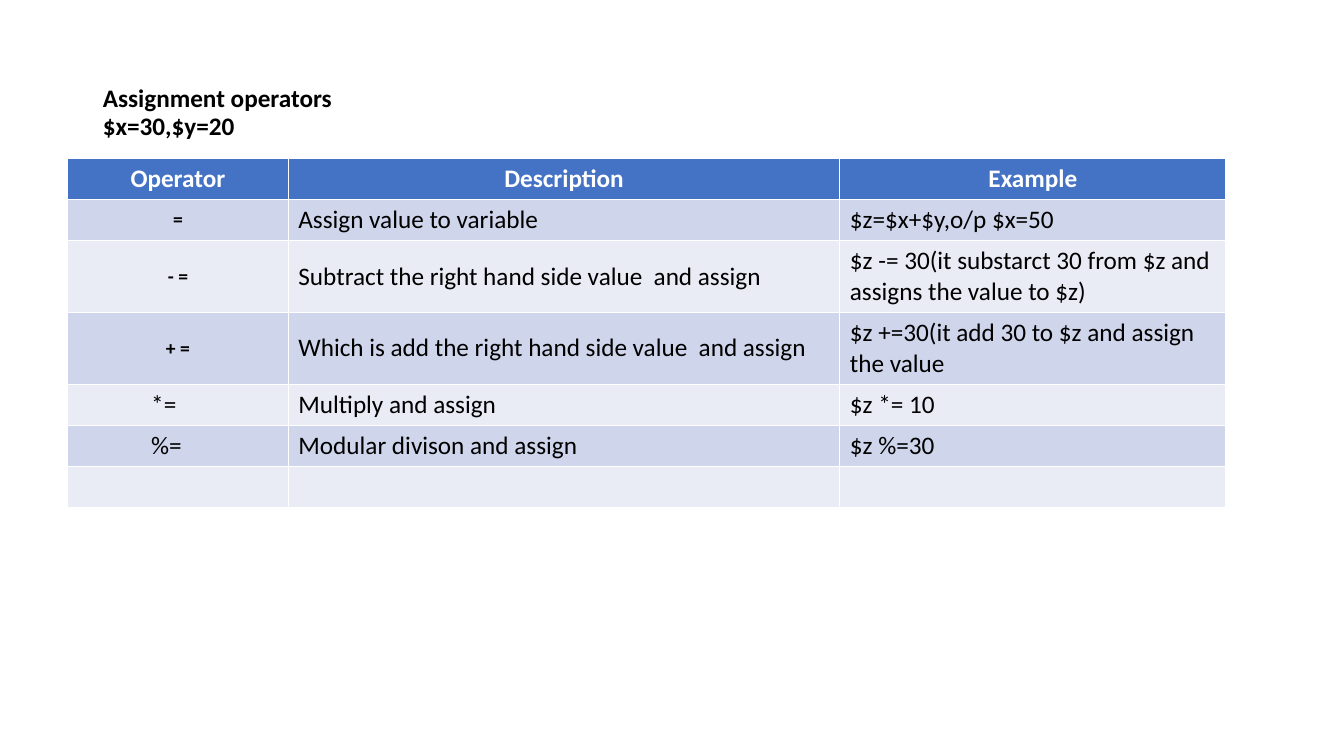
from pptx import Presentation
from pptx.dml.color import RGBColor
from pptx.enum.text import MSO_ANCHOR, MSO_AUTO_SIZE, PP_ALIGN
from pptx.util import Inches, Pt

MIDDLE, TOP = MSO_ANCHOR.MIDDLE, MSO_ANCHOR.TOP
LEFT, CENTER = PP_ALIGN.LEFT, PP_ALIGN.CENTER
NO_AUTOFIT = MSO_AUTO_SIZE.NONE

BLACK = RGBColor(0x00, 0x00, 0x00)
WHITE = RGBColor(0xFF, 0xFF, 0xFF)
HEADER_BLUE = RGBColor(0x44, 0x72, 0xC4)
BANDS = (RGBColor(0xCF, 0xD5, 0xEA), RGBColor(0xE9, 0xEB, 0xF5))

TITLE = "Assignment operators\v$x=30,$y=20"
HEADINGS = ("Operator", "Description", "Example")
OPERATORS = (
    ("=", "Assign value to variable", "$z=$x+$y,o/p $x=50"),
    ("- =", "Subtract the right hand side value  and assign",
     "$z -= 30(it substarct 30 from $z and assigns the value to $z)"),
    ("+ =", "Which is add the right hand side value  and assign",
     "$z +=30(it add 30 to $z and assign the value"),
    ("*=", "Multiply and assign", "$z *= 10"),
    ("%=", "Modular divison and assign", "$z %=30"),
    ("", "", ""),
)
CENTERED_ROWS = 3  # the first operators are small, bold and centred
COLUMN_WIDTHS = (2.19, 5.47, 3.83)
ROW_HEIGHT = 0.41
OPERATOR_INDENT = 0.83


class SlideBuilder:
    font_name = "Calibri"
    size = 18

    def __init__(self, slide):
        self.slide = slide

    def style(self, paragraph, color=BLACK, bold=False, size=size, align=LEFT):
        paragraph.alignment = align
        font = paragraph.font
        font.name, font.size, font.bold = self.font_name, Pt(size), bold
        font.color.rgb = color

    def title(self, text, left, top, width, height):
        title = self.slide.shapes.title
        title.left, title.top = Inches(left), Inches(top)
        title.width, title.height = Inches(width), Inches(height)
        frame = title.text_frame
        frame.text = text
        frame.auto_size = NO_AUTOFIT
        frame.vertical_anchor = MIDDLE
        paragraph = frame.paragraphs[0]
        paragraph.line_spacing = 0.9
        self.style(paragraph, bold=True)

    def table(self, left, top, widths, row_count):
        table = self.slide.shapes.add_table(
            row_count, len(widths), Inches(left), Inches(top),
            Inches(sum(widths)), Inches(ROW_HEIGHT * row_count)).table
        for column, width in zip(table.columns, widths):
            column.width = Inches(width)
        return table

    def cell(self, cell, text, fill, anchor=MIDDLE, **text_style):
        cell.text = text
        cell.vertical_anchor = anchor
        cell.fill.solid()
        cell.fill.fore_color.rgb = fill
        self.style(cell.text_frame.paragraphs[0], **text_style)


prs = Presentation()
prs.slide_width, prs.slide_height = Inches(13.33), Inches(7.5)
builder = SlideBuilder(prs.slides.add_slide(prs.slide_layouts[5]))

# Title
builder.title(TITLE, 0.92, 0.4, 11.5, 1.45)

# Table header
operator_table = builder.table(0.67, 1.57, COLUMN_WIDTHS, len(OPERATORS) + 1)
for column, heading in enumerate(HEADINGS):
    builder.cell(operator_table.cell(0, column), heading, HEADER_BLUE,
                 color=WHITE, bold=True, align=CENTER)

# Operator rows in alternating bands
for index, entry in enumerate(OPERATORS):
    centered = index < CENTERED_ROWS
    for column, text in enumerate(entry):
        cell = operator_table.cell(index + 1, column)
        emphasis = {}
        if column == 0 and centered:
            emphasis = {"bold": True, "size": 14, "align": CENTER}
        elif column == 0:
            cell.margin_left = Inches(OPERATOR_INDENT)
        builder.cell(cell, text, BANDS[index % 2],
                     anchor=MIDDLE if centered else TOP, **emphasis)

prs.save("out.pptx")
